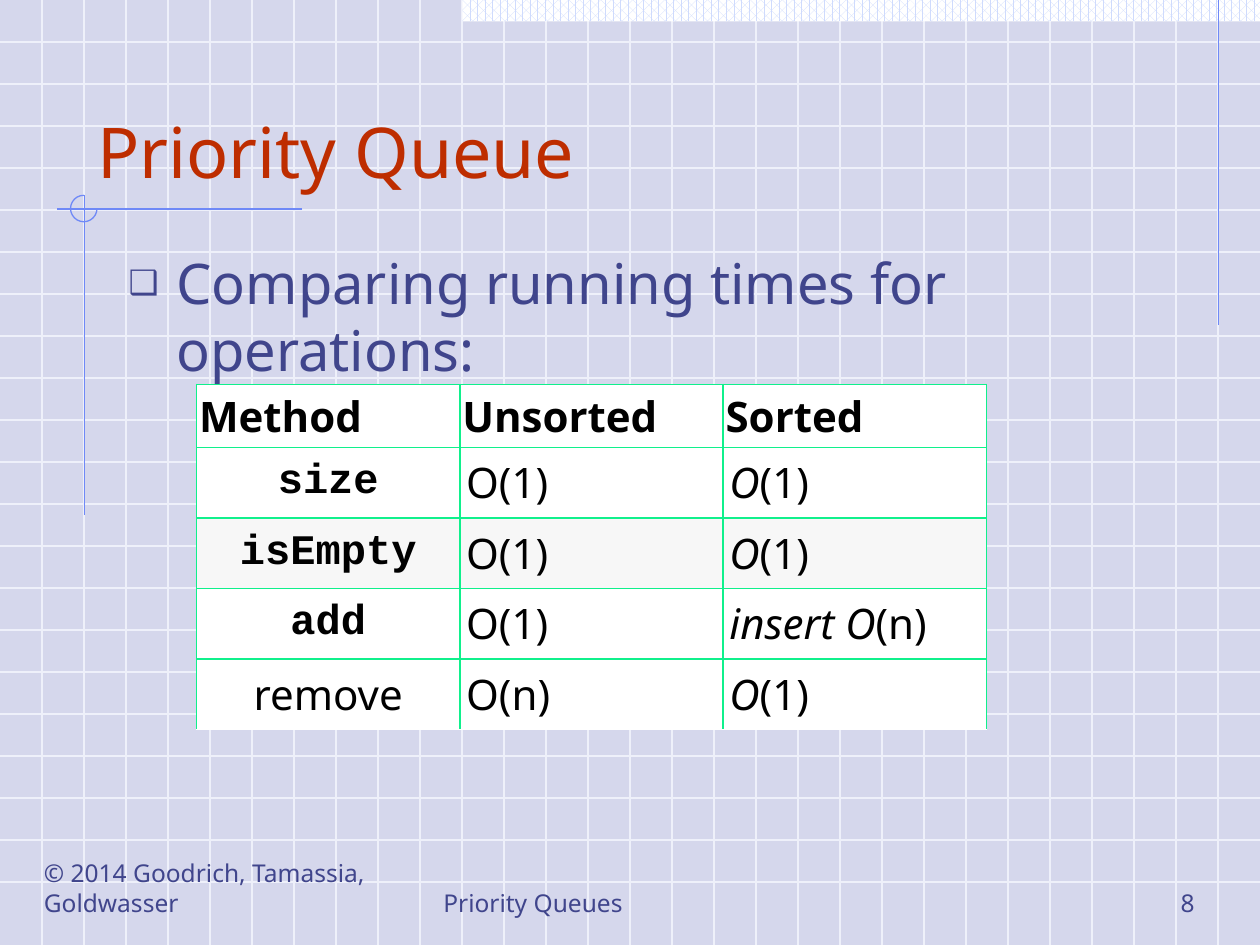
from lxml import etree
from pptx import Presentation
from pptx.dml.color import RGBColor
from pptx.enum.dml import MSO_PATTERN
from pptx.enum.shapes import MSO_CONNECTOR, MSO_SHAPE
from pptx.enum.text import MSO_ANCHOR, MSO_AUTO_SIZE, PP_ALIGN
from pptx.oxml.ns import qn
from pptx.util import Inches, Pt

STRAIGHT = MSO_CONNECTOR.STRAIGHT
RECT, ARC = MSO_SHAPE.RECTANGLE, MSO_SHAPE.ARC
DOTS = MSO_PATTERN.PERCENT_60
TOP, MIDDLE, BOTTOM = MSO_ANCHOR.TOP, MSO_ANCHOR.MIDDLE, MSO_ANCHOR.BOTTOM
LEFT, CENTER, RIGHT = PP_ALIGN.LEFT, PP_ALIGN.CENTER, PP_ALIGN.RIGHT
FIXED = MSO_AUTO_SIZE.NONE
W, H = 10, 7.5
SANS, MONO = "Noto Sans", "Courier New"
COLORS = {
    "back": "D5D7EC", "grid": "EEF0FA", "dots": "CFDBFD", "accent": "6F89F7",
    "title": "BE2D00", "text": "40458C", "border": "10F08C",
    "black": "000000", "white": "FFFFFF", "band": "F7F7F7",
}


def rgb(name):
    return RGBColor.from_string(COLORS[name])


def add_text(p, text, size=24, font=SANS, color="black", bold=False,
             italic=False, align=LEFT):
    p.alignment = align
    r = p.add_run()
    r.text = text
    f = r.font
    f.size, f.name, f.bold, f.italic = Pt(size), font, bold, italic
    f.color.rgb = rgb(color)


def place(sp, box, anchor):
    sp.left, sp.top, sp.width, sp.height = map(Inches, box)
    tf = sp.text_frame
    tf.word_wrap = True
    tf.auto_size = FIXED
    tf.vertical_anchor = anchor
    return tf.paragraphs[0]


def add_line(s, x1, y1, x2, y2, color):
    line = s.shapes.add_connector(STRAIGHT, *map(Inches, (x1, y1, x2, y2)))
    line.line.color.rgb = rgb(color)
    line.line.width = Pt(0.75)
    etree.SubElement(line.element.spPr, qn("a:effectLst"))


def add_grid(s, box, step):
    x, y, w, h = box
    for i in range(1, round(h / step)):
        add_line(s, x, y + i * step, x + w, y + i * step, "grid")
    for i in range(1, round(w / step)):
        add_line(s, x + i * step, y, x + i * step, y + h, "grid")


def add_top_strip(s, box):
    x, y, w, h = box
    strip = s.shapes.add_shape(RECT, *map(Inches, box))
    strip.shadow.inherit = False
    strip.fill.patterned()
    strip.fill.pattern = DOTS
    strip.fill.fore_color.rgb = rgb("dots")
    strip.fill.back_color.rgb = rgb("white")
    strip.line.fill.background()
    add_line(s, x + w - 0.33, y, x + w - 0.33, y + 2.58, "accent")


def add_title_mark(s, box):
    x, y, w, h = box
    add_line(s, x + w, y + 0.11, x, y + 0.11, "accent")
    add_line(s, x + 0.22, y, x + 0.22, y + h, "accent")
    arc = s.shapes.add_shape(ARC, *map(Inches, (x + 0.11, y, 0.21, 0.21)))
    arc.shadow.inherit = False
    arc.adjustments[0], arc.adjustments[1] = 0, 162
    arc.fill.background()
    arc.line.color.rgb = rgb("accent")
    arc.line.width = Pt(0.75)


def add_title(s, box, text):
    sp = s.shapes.title
    s.shapes.element.append(sp.element)
    add_text(place(sp, box, BOTTOM), text, size=40, color="title")


def add_body(s, box, text):
    sp = s.placeholders[1]
    s.shapes.element.append(sp.element)
    p = place(sp, box, TOP)
    add_text(p, text, size=32, color="text")
    pPr = p._p.get_or_add_pPr()
    pPr.set("marL", str(Inches(0.38)))
    pPr.set("indent", str(Inches(-0.38)))
    clr = etree.SubElement(pPr, qn("a:buClr"))
    etree.SubElement(clr, qn("a:srgbClr"), val=COLORS["text"])
    etree.SubElement(pPr, qn("a:buSzPct"), val="60000")
    etree.SubElement(pPr, qn("a:buFont"), typeface=SANS)
    etree.SubElement(pPr, qn("a:buChar"), char="\u2751")


def add_footer(s, box, parts):
    x, y, w, h = box
    for left, width, text, align in parts:
        sp = s.shapes.add_textbox(0, 0, 0, 0)
        p = place(sp, (x + left, y, width, h), BOTTOM)
        add_text(p, text, size=14, color="text", align=align)


def set_borders(cell, sides):
    tcPr = cell._tc.get_or_add_tcPr()
    for i, side in enumerate(sides):
        ln = etree.Element(qn("a:ln" + side), w=str(Pt(1)))
        fill = etree.SubElement(ln, qn("a:solidFill"))
        etree.SubElement(fill, qn("a:srgbClr"), val=COLORS["border"])
        tcPr.insert(i, ln)


def add_times_table(s, box, heads, rows):
    grid = [[[(h, {"bold": True})] for h in heads]]
    for method, style, unsorted, (lead, tail) in rows:
        grid.append([[(method, {"align": CENTER, **style})], [(unsorted, {})],
                     [(lead, {"italic": True}), (tail, {})]])
    frame = s.shapes.add_table(len(grid), len(heads), *map(Inches, box))
    table = frame.table
    table.first_row = table.horz_banding = False
    for i, cells in enumerate(grid):
        table.rows[i].height = Inches(0.56 if i else 0.5)
        pad = Inches(0.05 if i else 0.02)
        for j, runs in enumerate(cells):
            cell = table.cell(i, j)
            cell.margin_left = cell.margin_right = pad
            cell.margin_top = cell.margin_bottom = pad
            cell.vertical_anchor = MIDDLE
            cell.fill.solid()
            cell.fill.fore_color.rgb = rgb("band" if i == 2 else "white")
            set_borders(cell, "LRT" if i == len(grid) - 1 else "LRTB")
            for text, style in runs:
                add_text(cell.text_frame.paragraphs[0], text, **style)


prs = Presentation()
prs.slide_width, prs.slide_height = Inches(W), Inches(H)
s = prs.slides.add_slide(prs.slide_layouts[1])
s.background.fill.solid()
s.background.fill.fore_color.rgb = rgb("back")

add_grid(s, (0, 0, W, H), 1 / 3)
add_top_strip(s, (3.67, 0, 6.33, 0.17))
add_title_mark(s, (0.45, 1.55, 1.95, 2.54))
add_title(s, (0.67, 0.33, 8.75, 1.25), "Priority Queue")
add_body(s, (0.92, 1.92, 8.5, 4.67), "Comparing running times for operations:")
add_footer(s, (0.25, 6.83, 9.33, 0.5), [
    (0, 3.83, "© 2014 Goodrich, Tamassia, Goldwasser", LEFT),
    (7.25, 2.08, "8", RIGHT),
    (3.17, 3.17, "Priority Queues", LEFT),
])
CODE = {"font": MONO, "bold": True}
add_times_table(s, (1.56, 3.05, 6.27, 2.74), ["Method", "Unsorted", "Sorted"], [
    ("size", CODE, "O(1)", ("O", "(1)")),
    ("isEmpty", CODE, "O(1)", ("O", "(1)")),
    ("add", CODE, "O(1)", ("insert O", "(n)")),
    ("remove", {}, "O(n)", ("O", "(1)")),
])
prs.save("out.pptx")
